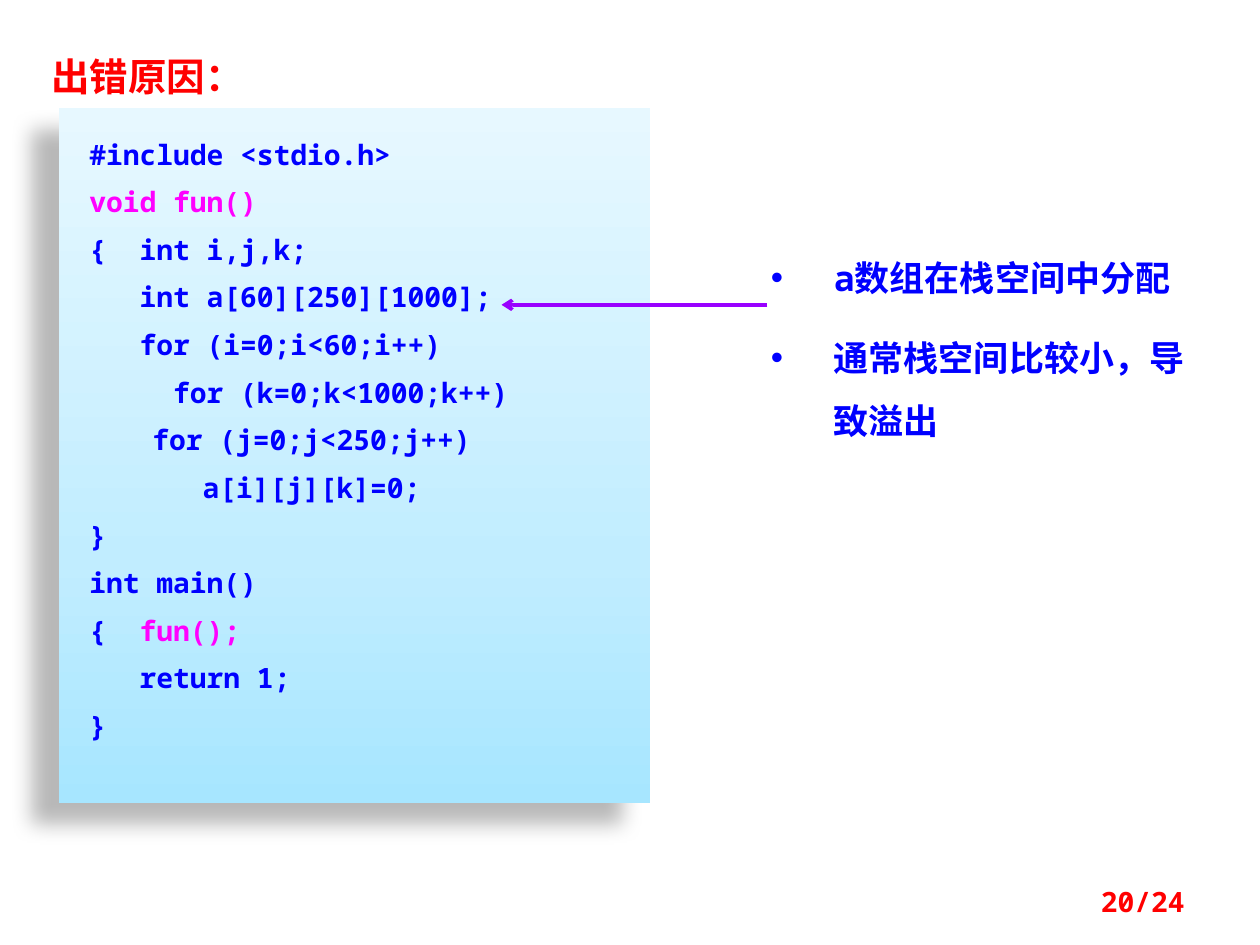
from dataclasses import dataclass
from typing import Optional

from lxml import etree
from pptx import Presentation
from pptx.dml.color import RGBColor
from pptx.enum.shapes import MSO_CONNECTOR, MSO_SHAPE
from pptx.enum.text import MSO_ANCHOR, PP_ALIGN
from pptx.oxml.ns import qn
from pptx.util import Pt

STRAIGHT = MSO_CONNECTOR.STRAIGHT
RECTANGLE = MSO_SHAPE.RECTANGLE
TOP, MIDDLE = MSO_ANCHOR.TOP, MSO_ANCHOR.MIDDLE
LEFT, RIGHT = PP_ALIGN.LEFT, PP_ALIGN.RIGHT

RED = RGBColor(0xFF, 0x00, 0x00)
BLUE = RGBColor(0x00, 0x00, 0xFF)
MAGENTA = RGBColor(0xFF, 0x00, 0xFF)
VIOLET = RGBColor(0x99, 0x00, 0xFF)
BLACK = RGBColor(0x00, 0x00, 0x00)
SKY = RGBColor(0xA7, 0xE6, 0xFF)
PALE_SKY = RGBColor(0xC1, 0xED, 0xFF)
MIST = RGBColor(0xE7, 0xF8, 0xFF)
PANEL_STOPS = ((0, SKY), (35, PALE_SKY), (100, MIST))

CJK = "Noto Sans CJK SC"
MONO = "Noto Sans Mono"


@dataclass(frozen=True)
class Style:
    size: float
    color: RGBColor
    font: str = MONO
    line: Optional[float] = None
    gap: float = 0
    indent: float = 0
    align: PP_ALIGN = LEFT


@dataclass(frozen=True)
class Note:
    left: float
    top: float
    width: float
    height: float
    lines: tuple
    style: Style
    anchor: MSO_ANCHOR = TOP


@dataclass(frozen=True)
class CodeLine:
    text: str
    highlight: str = ""


NOTES = (
    Note(22.3, 22.3, 140.4, 33.8, ("出错原因：",), Style(22, RED, CJK, line=31)),
    Note(433.4, 131, 264.2, 116.6,
         ("a数组在栈空间中分配", "通常栈空间比较小，导致溢出"),
         Style(20, BLUE, line=36, gap=10, indent=36)),
    Note(516.2, 500.4, 167.8, 28.8, ("20/24",), Style(16, RED, align=RIGHT), MIDDLE),
)

CODE_STYLE = Style(16, BLUE, line=21.2, gap=6)
CODE = (
    CodeLine("#include <stdio.h>"),
    CodeLine("", "void fun()"),
    CodeLine("{  int i,j,k;"),
    CodeLine("   int a[60][250][1000];"),
    CodeLine("   for (i=0;i<60;i++)"),
    CodeLine("     for (k=0;k<1000;k++)"),
    CodeLine("\tfor (j=0;j<250;j++)"),
    CodeLine("\t   a[i][j][k]=0;"),
    CodeLine("}"),
    CodeLine("int main()"),
    CodeLine("{  ", "fun();"),
    CodeLine("   return 1;"),
    CodeLine("}"),
)


def add_color(parent, color: RGBColor):
    return etree.SubElement(parent, qn("a:srgbClr"), val=str(color))


def add_paragraph(frame, index: int, style: Style):
    paragraph = frame.add_paragraph() if index else frame.paragraphs[0]
    paragraph.alignment = style.align
    if style.line:
        paragraph.line_spacing = Pt(style.line)
    if index:
        paragraph.space_before = Pt(style.gap)
    if style.indent:
        properties = paragraph._p.get_or_add_pPr()
        properties.set("marL", str(Pt(style.indent)))
        properties.set("indent", str(-Pt(style.indent)))
        etree.SubElement(properties, qn("a:buFont"), typeface="Arial")
        etree.SubElement(properties, qn("a:buChar"), char="•")
    font = paragraph.font
    font.size, font.bold, font.name = Pt(style.size), True, style.font
    font.color.rgb = style.color
    etree.SubElement(font._element, qn("a:ea"), typeface=CJK)
    return paragraph


def add_note(slide, note: Note) -> None:
    box = slide.shapes.add_textbox(Pt(note.left), Pt(note.top), Pt(note.width), Pt(note.height))
    frame = box.text_frame
    frame.word_wrap = True
    frame.vertical_anchor = note.anchor
    for index, line in enumerate(note.lines):
        add_paragraph(frame, index, note.style).add_run().text = line


def fill_panel(panel) -> None:
    panel.fill.gradient()
    panel.fill.gradient_angle = 90
    panel.line.fill.background()
    panel.shadow.inherit = False
    properties = panel._element.spPr
    stops = properties.find(qn("a:gradFill")).find(qn("a:gsLst"))
    for stop in list(stops):
        stops.remove(stop)
    for percent, color in PANEL_STOPS:
        add_color(etree.SubElement(stops, qn("a:gs"), pos=str(percent * 1000)), color)
    shadow = etree.SubElement(
        properties.find(qn("a:effectLst")), qn("a:outerShdw"),
        blurRad=str(Pt(11.8)), dist=str(Pt(19.7)), dir=str(141 * 60000),
        algn="ctr", rotWithShape="0")
    etree.SubElement(add_color(shadow, BLACK), qn("a:alpha"), val="28000")


def add_code_panel(slide) -> None:
    panel = slide.shapes.add_shape(RECTANGLE, Pt(33.8), Pt(61.9), Pt(337.7), Pt(396.7))
    fill_panel(panel)
    frame = panel.text_frame
    frame.word_wrap = True
    frame.vertical_anchor = TOP
    frame.margin_left, frame.margin_right = Pt(17.3), Pt(7.2)
    frame.margin_top = frame.margin_bottom = Pt(14.4)
    for index, line in enumerate(CODE):
        paragraph = add_paragraph(frame, index, CODE_STYLE)
        if line.text:
            paragraph.add_run().text = line.text
        if line.highlight:
            call = paragraph.add_run()
            call.text = line.highlight
            call.font.color.rgb = MAGENTA


def add_arrow(slide, start: float, end: float, y: float) -> None:
    arrow = slide.shapes.add_connector(STRAIGHT, Pt(start), Pt(y), Pt(end), Pt(y))
    arrow.line.color.rgb = VIOLET
    arrow.line.width = Pt(2)
    etree.SubElement(arrow.line._get_or_add_ln(), qn("a:tailEnd"), type="arrow")
    etree.SubElement(arrow._element.spPr, qn("a:effectLst"))


def main() -> None:
    presentation = Presentation()
    presentation.slide_width, presentation.slide_height = Pt(720), Pt(540)
    slide = presentation.slides.add_slide(presentation.slide_layouts[6])
    title, reasons, page_number = NOTES
    add_note(slide, title)
    add_note(slide, reasons)
    add_code_panel(slide)
    add_arrow(slide, 438.5, 286.6, 174.2)
    add_note(slide, page_number)
    presentation.save("out.pptx")


if __name__ == "__main__":
    main()
